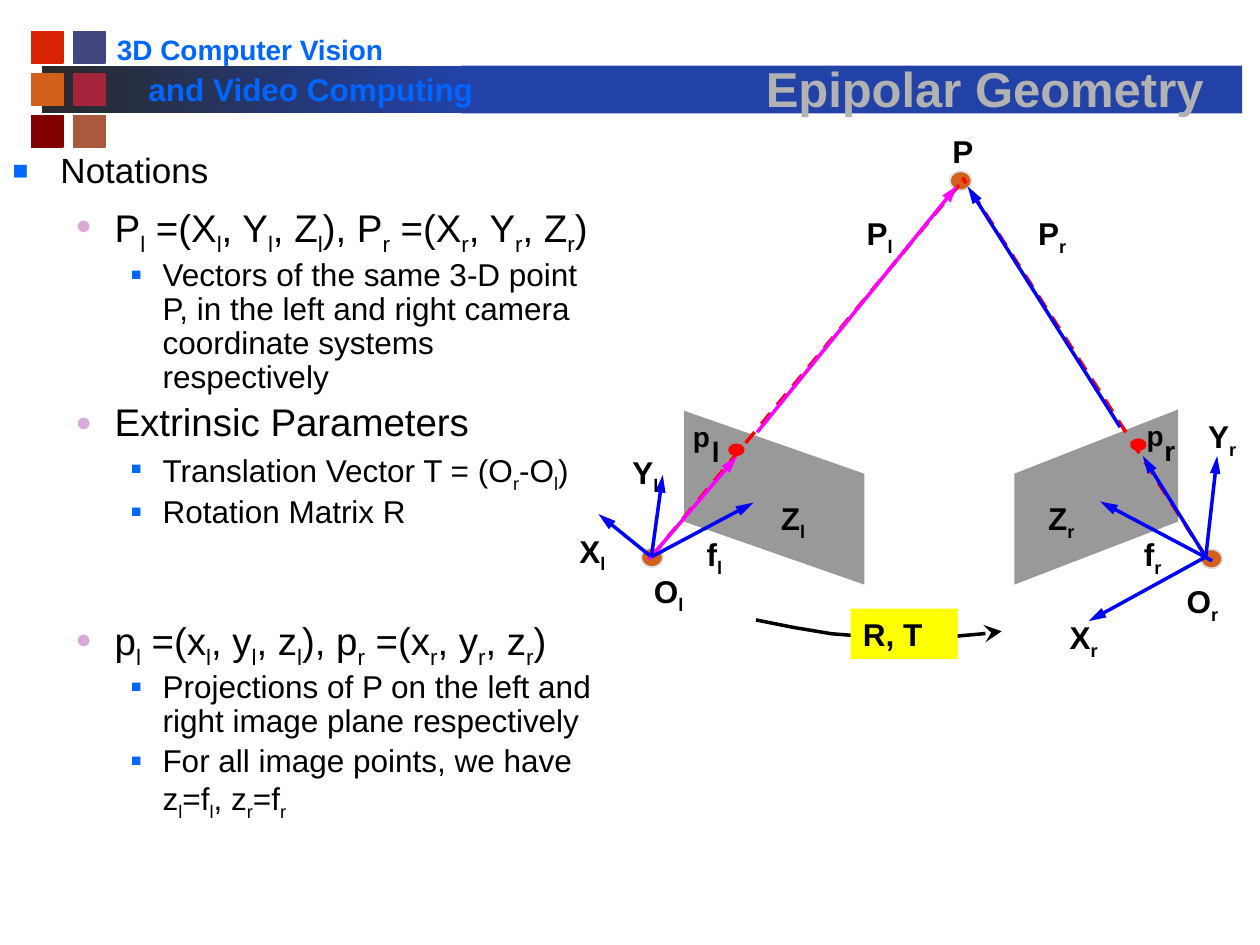
from lxml.etree import SubElement
from pptx import Presentation
from pptx.dml.color import RGBColor
from pptx.enum.dml import MSO_LINE
from pptx.enum.shapes import MSO_CONNECTOR, MSO_SHAPE
from pptx.enum.text import MSO_ANCHOR, MSO_AUTO_SIZE, PP_ALIGN
from pptx.oxml.ns import qn
from pptx.util import Inches, Pt

BLACK = RGBColor(0x00, 0x00, 0x00)
SILVER = RGBColor(0xB2, 0xB2, 0xB2)
GRAY = RGBColor(0x99, 0x99, 0x99)
PALE = RGBColor(0xDD, 0xDD, 0xDD)
DARK = RGBColor(0x29, 0x29, 0x29)
NAVY = RGBColor(0x22, 0x42, 0xA8)
SKY = RGBColor(0x00, 0x66, 0xFF)
BLUE = RGBColor(0x00, 0x00, 0xFF)
RED = RGBColor(0xFF, 0x00, 0x00)
PINK = RGBColor(0xFF, 0x00, 0xFF)
ORANGE = RGBColor(0xD2, 0x60, 0x1A)
YELLOW = RGBColor(0xFF, 0xFF, 0x00)
LILAC = RGBColor(0xDB, 0xA9, 0xD7)

# Content: "_" lowers the character after it
TITLE = "Epipolar Geometry"
HEADS = [("3D Computer Vision", 0.83, 0.21, 2.32, 16),
         ("and Video Computing", 1.08, 0.51, 2.83, 18)]
# Level, text, space before
NOTES = [
    (0, "Notations", 0),
    (1, "P_l =(X_l, Y_l, Z_l), P_r =(X_r, Y_r, Z_r)", 7.5),
    (2, "Vectors of the same 3-D point P, in the left and right camera "
        "coordinate systems respectively", 4.4),
    (1, "Extrinsic Parameters", 4.4),
    (2, "Translation Vector T = (O_r-O_l)", 3.6),
    (2, "Rotation Matrix R", 3.6),
    (1, "p_l =(x_l, y_l, z_l), p_r =(x_r, y_r, z_r)", 50),
    (2, "Projections of P on the left and right image plane respectively", 3.6),
    (2, "For all image points, we have z_l=f_l, z_r=f_r", 3.6),
]
# Size, left margin, hanging indent, bullet, its colour, its percent
LEVELS = [(20, 0.38, 0.38, "■", SKY, 75),
          (22, 0.81, 0.31, "●", LILAC, 70),
          (18, 1.19, 0.25, "■", SKY, 55)]
TILES = [[RGBColor(0xD8, 0x22, 0x04), RGBColor(0x42, 0x46, 0x80)],
         [ORANGE, RGBColor(0xA5, 0x25, 0x3D)],
         [RGBColor(0x80, 0x00, 0x00), RGBColor(0xAA, 0x58, 0x3E)]]
PLANES = [[(5.43, 3.26), (6.86, 3.76), (6.86, 4.64), (5.43, 4.14)],
          [(9.35, 3.25), (8.05, 3.76), (8.05, 4.64), (9.35, 4.14)]]
DOTS = [(5.78, 3.52), (8.97, 3.48)]
BALLS = [(5.09, 4.35), (9.53, 4.36), (7.54, 1.36)]
LEFT, RIGHT = (5.17, 4.42), (9.57, 4.42)
RAYS = [(LEFT, (7.61, 1.47)), (RIGHT, (7.64, 1.41))]
ARROWS = [
    (LEFT, (4.75, 4.08), BLUE), (RIGHT, (8.64, 4.93), BLUE),
    ((5.15, 4.44), (5.85, 3.62), PINK), ((6.01, 3.43), (7.6, 1.47), PINK),
    (RIGHT, (9.07, 3.62), BLUE), ((8.89, 3.39), (7.68, 1.48), BLUE),
    (LEFT, (5.98, 3.99), BLUE), (LEFT, (5.26, 3.77), BLUE),
    ((9.62, 4.45), (8.73, 3.98), BLUE), (RIGHT, (9.66, 3.62), BLUE),
]
LABELS = [
    ("P", 7.46, 1, 0.37), ("P_l", 6.78, 1.65, 0.59), ("P_r", 8.14, 1.65, 0.59),
    ("O_l", 5.09, 4.49, 0.59), ("O_r", 9.32, 4.57, 0.59),
    ("X_l", 4.5, 4.17, 0.59), ("X_r", 8.39, 4.86, 0.59),
    ("Y_l", 4.92, 3.55, 0.43), ("Y_r", 9.49, 3.26, 0.5),
    ("Z_l", 6.1, 3.91, 0.43), ("Z_r", 8.22, 3.91, 0.59),
    ("f_l", 5.51, 4.2, 0.42), ("f_r", 8.98, 4.2, 0.42),
]
MARKS = [("p", 5.5, 3.33, 0.14), ("l", 5.65, 3.45, 0.06),
         ("p", 9.1, 3.32, 0.14), ("r", 9.24, 3.44, 0.09)]
CURVE = [(6, 4.92), (6.3, 4.98), (6.6, 5.03), (7.12, 5.07),
         (7.35, 5.07), (7.8, 5.03), (7.95, 5.01)]

deck = Presentation()
deck.slide_width, deck.slide_height = Inches(10), Inches(7.5)
slide = deck.slides.add_slide(deck.slide_layouts[1])
shapes = slide.shapes


def write(par, text, size=18, color=BLACK, bold=True, align=PP_ALIGN.LEFT):
    par.alignment = align
    first, *rest = text.split("_")
    parts = [(first, False)]
    for part in rest:
        parts += [(part[0], True), (part[1:], False)]
    for word, low in parts:
        if word:
            run = par.add_run()
            run.text = word
            font = run.font
            font.name, font.size, font.bold = "Arial", Pt(size), bold
            font.color.rgb = color
            if low:
                run._r.get_or_add_rPr().set("baseline", "-25000")


def label(text, x, y, w, h=0.4, pad=None, wrap=True, **form):
    frame = shapes.add_textbox(*map(Inches, (x, y, w, h))).text_frame
    frame.word_wrap = wrap
    if pad is not None:
        frame.margin_left = frame.margin_right = Inches(pad)
        frame.margin_top = frame.margin_bottom = Inches(pad)
    write(frame.paragraphs[0], text, **form)


def block(kind, x, y, w, h, fill, edge=None):
    shape = shapes.add_shape(kind, *map(Inches, (x, y, w, h)))
    paint(shape, fill, edge)
    return shape


def paint(shape, fill, edge=None):
    shape.shadow.inherit = False
    shape.fill.solid()
    shape.fill.fore_color.rgb = fill
    if edge is None:
        shape.line.fill.background()
    else:
        shape.line.color.rgb, shape.line.width = edge, Pt(1)


def outline(points, close):
    first, *rest = [(Inches(x), Inches(y)) for x, y in points]
    build = shapes.build_freeform(*first)
    build.add_line_segments(rest, close=close)
    return build.convert_to_shape()


def tip(line, kind, width):
    SubElement(line._get_or_add_ln(), qn("a:tailEnd"),
               type=kind, w=width, len="lg")


def stroke(start, end, color):
    line = shapes.add_connector(MSO_CONNECTOR.STRAIGHT,
                                *map(Inches, start + end))
    SubElement(line._element.spPr, qn("a:effectLst"))
    line.line.color.rgb, line.line.width = color, Pt(2)
    return line.line


def place(shape, *box):
    shape.left, shape.top, shape.width, shape.height = map(Inches, box)
    shapes._spTree.append(shape._element)  # bring in front of the band
    frame = shape.text_frame
    frame.word_wrap, frame.auto_size = True, MSO_AUTO_SIZE.NONE
    return frame


# Header band and tiles
band = block(MSO_SHAPE.RECTANGLE, 0.33, 0.52, 3.33, 0.38, NAVY)
band.fill.gradient()
band.fill.gradient_angle = 0
for stop, color, spot in zip(band.fill.gradient_stops, (DARK, NAVY), (0, 1)):
    stop.color.rgb, stop.position = color, spot
block(MSO_SHAPE.RECTANGLE, 3.66, 0.52, 6.2, 0.38, NAVY)
for row, pair in enumerate(TILES):
    for col, color in enumerate(pair):
        block(MSO_SHAPE.RECTANGLE, 0.25 + col / 3, 0.25 + row / 3,
              0.25, 0.25, color, color)
for text, x, y, w, size in HEADS:
    label(text, x, y, w, wrap=False, size=size, color=SKY)

# Title with a text shadow
frame = place(shapes.title, 5.67, 0.31, 4.29, 0.67)
frame.vertical_anchor = MSO_ANCHOR.BOTTOM
head = frame.paragraphs[0]
write(head, TITLE, size=28, color=SILVER, align=PP_ALIGN.CENTER)
effect = SubElement(head.runs[0]._r.rPr, qn("a:effectLst"))
head.runs[0]._r.rPr.find(qn("a:solidFill")).addnext(effect)
shade = SubElement(effect, qn("a:outerShdw"), dist="35921", dir="2700000")
SubElement(shade, qn("a:srgbClr"), val=str(BLACK))

# Notes
frame = place(slide.placeholders[1], 0, 1.17, 4.92, 5.67)
for i, (level, text, gap) in enumerate(NOTES):
    par = frame.add_paragraph() if i else frame.paragraphs[0]
    size, left, hang, sign, color, share = LEVELS[level]
    par.level = level
    props = par._p.get_or_add_pPr()
    props.set("marL", str(Inches(left)))
    props.set("indent", str(-Inches(hang)))
    SubElement(SubElement(props, qn("a:buClr")), qn("a:srgbClr"),
               val=str(color))
    SubElement(props, qn("a:buSzPct"), val=str(share * 1000))
    SubElement(props, qn("a:buFont"), typeface="Arial")
    SubElement(props, qn("a:buChar"), char=sign)
    par.line_spacing, par.space_before = 0.9, Pt(gap)
    write(par, text, size=size, bold=False)

# Image planes and points
for plane in PLANES:
    paint(outline(plane, True), GRAY)
for x, y in DOTS:
    block(MSO_SHAPE.OVAL, x, y, 0.13, 0.1, RED)
for x, y in BALLS:
    block(MSO_SHAPE.OVAL, x, y, 0.17, 0.15, ORANGE, PALE)

# Rays and vectors
for start, end in RAYS:
    stroke(start, end, RED).dash_style = MSO_LINE.DASH
for start, end, color in ARROWS:
    tip(stroke(start, end, color), "triangle", "med")

# Labels
for text, x, y, w in LABELS:
    label(text, x, y, w)
for text, x, y, w in MARKS:
    label(text, x, y, w, h=0.27, pad=0, wrap=False, size=16)

# Transform between the cameras
curve = outline(CURVE, False)
curve.shadow.inherit = False
curve.fill.background()
curve.line.color.rgb, curve.line.width = BLACK, Pt(2)
tip(curve.line, "stealth", "lg")
box = block(MSO_SHAPE.RECTANGLE, 6.75, 4.83, 0.85, 0.4, YELLOW)
write(box.text_frame.paragraphs[0], "R, T")

deck.save("out.pptx")
